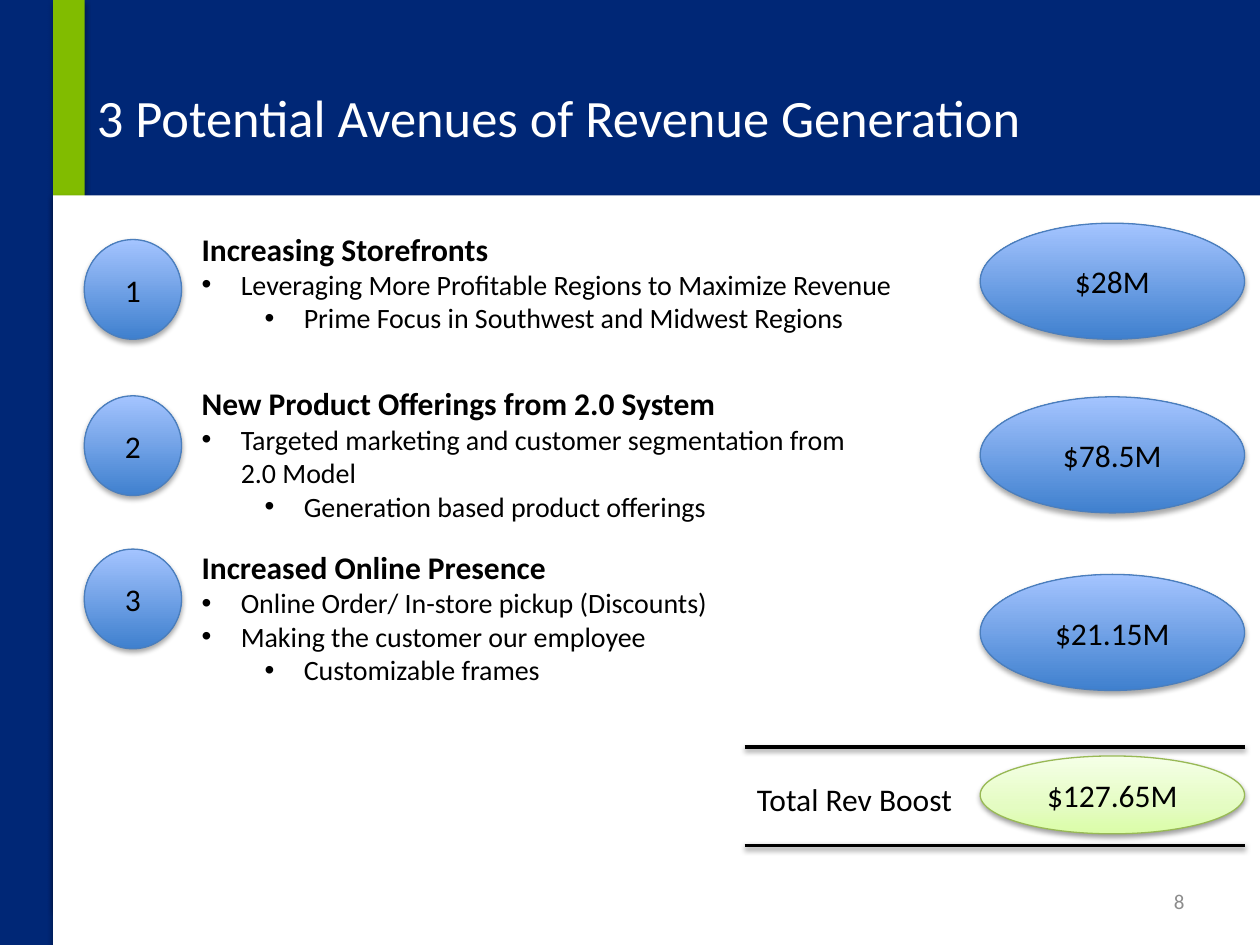
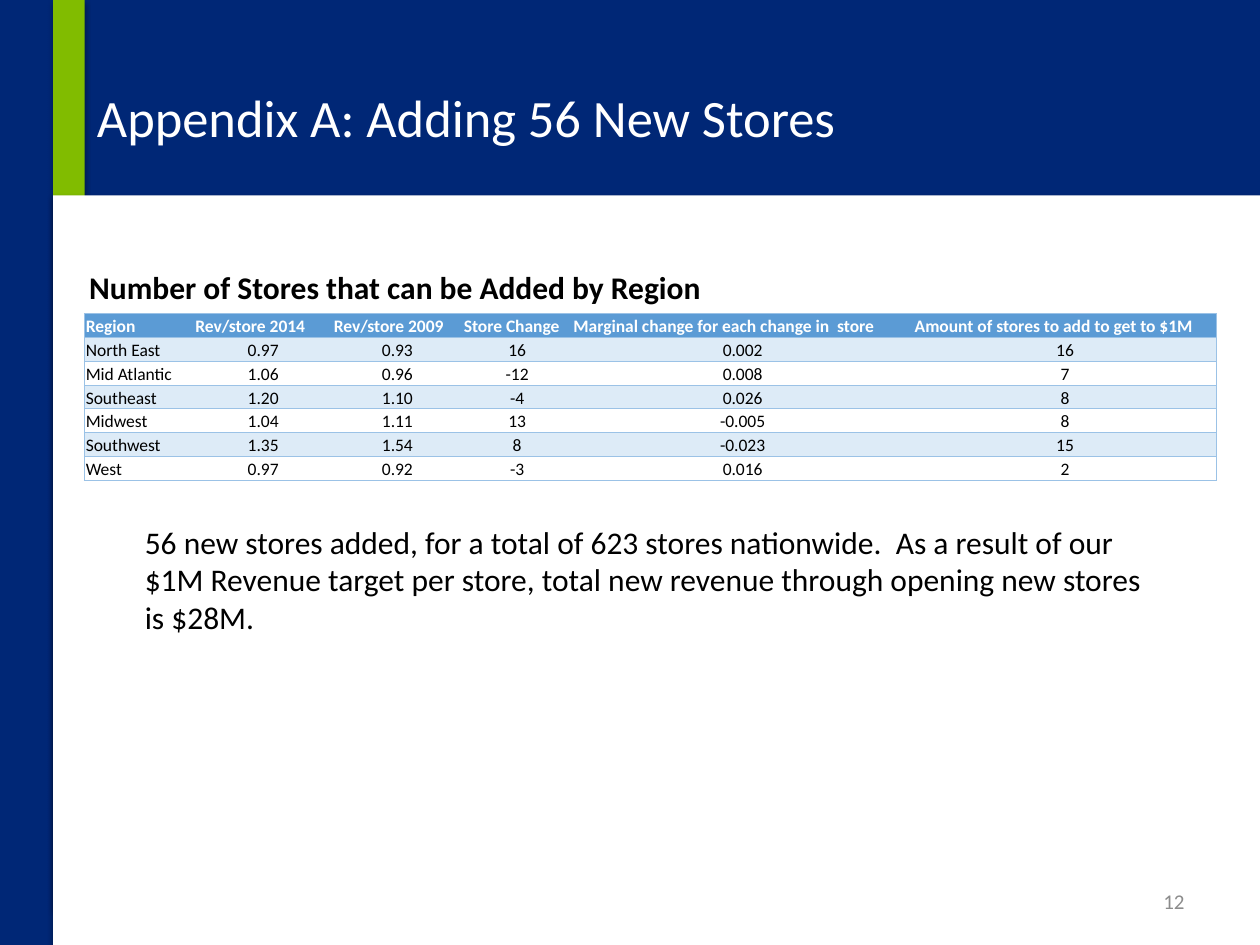
from lxml.etree import SubElement
from pptx import Presentation
from pptx.dml.color import RGBColor
from pptx.enum.shapes import MSO_CONNECTOR as Connector, MSO_SHAPE as Shape
from pptx.enum.text import MSO_ANCHOR as Anchor, MSO_AUTO_SIZE as AutoSize, PP_ALIGN as Align
from pptx.oxml.ns import qn
from pptx.util import Cm, Pt

NAVY, GREEN, WHITE, BLACK, GRAY = "002776", "81BC00", "FFFFFF", "000000", "8C8C8C"
HEADER_FILL, BAND_FILL, TABLE_LINE = "5B9BD5", "DDEBF7", "9BC2E6"
BLUE_STOPS = {0: "3F80CE", 100: "A4C4FF"}
LIME_STOPS = {0: "DAFDA7", 35: "E4FCC2", 100: "F5FFE7"}
BLUE_LINE, LIME_LINE = "4B7EBC", "98B955"
PLAIN_TABLE_STYLE = "{2D5ABB26-0587-4C30-8999-92F81FD0307C}"

TITLE_ONLY, COMPARISON = 5, 4

# Circle top, list top, list width, list height, amount top, amount, heading, bullets (level, text)
AVENUES = [
    (4.83, 4.5, 14.83, 3.94, 4.5, "$28M", "Increasing Storefronts", [
        (0, "Leveraging More Profitable Regions to Maximize Revenue"),
        (1, "Prime Focus in Southwest and Midwest Regions")]),
    (7.98, 7.62, 13.59, 3.07, 8.0, "$78.5M", "New Product Offerings from 2.0 System", [
        (0, "Targeted marketing and customer segmentation from 2.0 Model"),
        (1, "Generation based product offerings")]),
    (11.07, 10.92, 11.23, 3.07, 11.58, "$21.15M", "Increased Online Presence", [
        (0, "Online Order/ In-store pickup (Discounts)"),
        (0, "Making the customer our employee"),
        (1, "Customizable frames")]),
]

STORE_COLUMNS = [2.21, 2.79, 2.62, 2.21, 6.88, 6.12]
STORE_ROWS = [
    ["Region", "Rev/store 2014", "Rev/store 2009", "Store Change",
     "Marginal change for each change in  store", "Amount of stores to add to get to $1M"],
    ["North East", "0.97", "0.93", "16", "0.002", "16"],
    ["Mid Atlantic", "1.06", "0.96", "-12", "0.008", "7"],
    ["Southeast", "1.20", "1.10", "-4", "0.026", "8"],
    ["Midwest", "1.04", "1.11", "13", "-0.005", "8"],
    ["Southwest", "1.35", "1.54", "8", "-0.023", "15"],
    ["West", "0.97", "0.92", "-3", "0.016", "2"],
]


def rgb(color):
    return RGBColor.from_string(color)


def add_color(parent, color):
    return SubElement(parent, qn("a:srgbClr"), val=color)


def write(paragraph, text, size=18, color=BLACK, bold=False, align=Align.LEFT):
    paragraph.text = text
    paragraph.alignment = align
    font = paragraph.font
    font.name, font.size, font.bold = "Calibri", Pt(size), bold
    font.color.rgb = rgb(color)


def set_bullet(paragraph, level=None):
    """Give the paragraph a hanging bullet, or none when level is None."""
    properties = paragraph._p.get_or_add_pPr()
    indent = 0 if level is None else Cm(0.79)
    left = 0 if level is None else Cm(0.79 + 1.27 * level)
    properties.set("marL", str(left))
    properties.set("indent", str(-indent))
    paragraph.space_before = Pt(0)
    if level is None:
        SubElement(properties, qn("a:buNone"))
    else:
        paragraph.level = level
        SubElement(properties, qn("a:buFont"), typeface="Arial")
        SubElement(properties, qn("a:buChar"), char="•")


def add_shadow(shape, opacity=35, distance=1.8):
    """Cast a soft shadow downwards; call after the line is set."""
    effects = SubElement(shape.element.spPr, qn("a:effectLst"))
    shadow = SubElement(effects, qn("a:outerShdw"), blurRad=str(Pt(3.1)),
                        dist=str(Pt(distance)), dir="5400000", rotWithShape="0")
    SubElement(add_color(shadow, BLACK), qn("a:alpha"), val=str(opacity * 1000))


def fill_gradient(shape, stops):
    shape.fill.gradient()
    shape.fill.gradient_angle = 90
    stop_list = shape.element.spPr.find(".//" + qn("a:gsLst"))
    stop_list.clear()
    for position, color in stops.items():
        add_color(SubElement(stop_list, qn("a:gs"), pos=str(position * 1000)), color)


def place(shape, left, top, width, height):
    shape.left, shape.top, shape.width, shape.height = map(Cm, (left, top, width, height))


class Deck:
    def __init__(self):
        self.presentation = Presentation()
        self.presentation.slide_width = Cm(25.4)
        self.presentation.slide_height = Cm(19.05)
        self.slide = None
        self.bodies = []

    def start_slide(self, layout, title, number):
        self.slide = self.presentation.slides.add_slide(
            self.presentation.slide_layouts[layout])
        background = self.slide.background.fill
        background.solid()
        background.fore_color.rgb = rgb(NAVY)
        self.bodies = list(self.slide.placeholders)[1:]
        self.band(1.07, 3.94, 24.33, 15.11, WHITE)
        self.band(1.07, 0, 0.64, 18.29, GREEN)
        heading = self.slide.shapes.title
        place(heading, 1.7, 0.76, 22.43, 3.18)
        heading.text_frame.auto_size = AutoSize.NONE
        heading.text_frame.vertical_anchor = Anchor.MIDDLE
        write(heading.text_frame.paragraphs[0], title, size=30, color=WHITE)
        self.text(18.21, 17.65, 5.92, 1.02, number, anchor=Anchor.MIDDLE,
                  size=12, color=GRAY, align=Align.RIGHT)

    def band(self, left, top, width, height, color):
        """Add a plain rectangle behind everything on the slide."""
        shape = self.slide.shapes.add_shape(
            Shape.RECTANGLE, *map(Cm, (left, top, width, height)))
        shape.fill.solid()
        shape.fill.fore_color.rgb = rgb(color)
        shape.line.fill.background()
        add_shadow(shape)
        shape.element.getparent().insert(2, shape.element)

    def text(self, left, top, width, height, text, anchor=Anchor.TOP, **style):
        box = self.slide.shapes.add_textbox(*map(Cm, (left, top, width, height)))
        box.text_frame.word_wrap = True
        box.text_frame.vertical_anchor = anchor
        write(box.text_frame.paragraphs[0], text, **style)

    def ellipse(self, left, top, width, height, text,
                stops=BLUE_STOPS, line=BLUE_LINE, **shadow):
        shape = self.slide.shapes.add_shape(
            Shape.OVAL, *map(Cm, (left, top, width, height)))
        fill_gradient(shape, stops)
        shape.line.color.rgb = rgb(line)
        shape.line.width = Pt(0.75)
        add_shadow(shape, **shadow)
        shape.text_frame.vertical_anchor = Anchor.MIDDLE
        write(shape.text_frame.paragraphs[0], text, align=Align.CENTER)

    def rule(self, left, right, y):
        line = self.slide.shapes.add_connector(
            Connector.STRAIGHT, *map(Cm, (left, y, right, y)))
        line.line.color.rgb = rgb(BLACK)
        line.line.width = Pt(2)
        add_shadow(line, opacity=38, distance=1.6)

    def bullet_list(self, left, top, width, height, heading, bullets):
        body = self.bodies.pop(0)
        place(body, left, top, width, height)
        frame = body.text_frame
        frame.auto_size = AutoSize.NONE
        frame.vertical_anchor = Anchor.TOP
        set_bullet(frame.paragraphs[0])
        write(frame.paragraphs[0], heading, bold=True)
        for level, text in bullets:
            paragraph = frame.add_paragraph()
            set_bullet(paragraph, level)
            write(paragraph, text, size=16)

    def remove_unused_bodies(self):
        for body in self.bodies:
            body.element.getparent().remove(body.element)

    def table(self, left, top, columns, row_height, rows):
        frame = self.slide.shapes.add_table(
            len(rows), len(columns), Cm(left), Cm(top),
            Cm(sum(columns)), Cm(row_height * len(rows)))
        frame.element.find(".//" + qn("a:tableStyleId")).text = PLAIN_TABLE_STYLE
        table = frame.table
        table.horz_banding = False
        for column, width in zip(table.columns, columns):
            column.width = Cm(width)
        for row_index, values in enumerate(rows):
            table.rows[row_index].height = Cm(row_height)
            for column_index, value in enumerate(values):
                self.table_cell(table.cell(row_index, column_index), value,
                                row_index, column_index, len(columns) - 1)

    def table_cell(self, cell, value, row, column, last_column):
        is_header = row == 0
        cell.margin_left = cell.margin_right = cell.margin_top = Cm(0.03)
        cell.margin_bottom = 0
        cell.vertical_anchor = Anchor.BOTTOM
        sides = {"L": column == 0, "R": column == last_column, "T": True, "B": True}
        for side, is_drawn in sides.items():
            if is_drawn:
                line = SubElement(cell._tc.get_or_add_tcPr(), qn("a:ln" + side),
                                  w=str(Pt(0.5)))
                add_color(SubElement(line, qn("a:solidFill")), TABLE_LINE)
        if row % 2 or is_header:
            cell.fill.solid()
            cell.fill.fore_color.rgb = rgb(HEADER_FILL if is_header else BAND_FILL)
        else:
            cell.fill.background()
        write(cell.text_frame.paragraphs[0], value, size=10, bold=is_header,
              color=WHITE if is_header else BLACK,
              align=Align.LEFT if is_header or column == 0 else Align.CENTER)


def add_avenues_slide(deck):
    deck.start_slide(COMPARISON, "3 Potential Avenues of Revenue Generation", "8")
    for number, avenue in enumerate(AVENUES, start=1):
        circle_top, list_top, width, height, amount_top, amount, heading, bullets = avenue
        deck.ellipse(1.7, circle_top, 1.96, 2.01, str(number))
        deck.bullet_list(3.81, list_top, width, height, heading, bullets)
        deck.ellipse(19.76, amount_top, 5.33, 2.34, amount)
    deck.remove_unused_bodies()
    for y in (15.06, 17.04):
        deck.rule(15.01, 25.1, y)
    deck.text(15.01, 15.6, 4.75, 1.02, "Total Rev Boost")
    deck.ellipse(19.76, 15.24, 5.33, 1.57, "$127.65M", LIME_STOPS, LIME_LINE,
                 opacity=38, distance=1.6)


def add_stores_slide(deck):
    deck.start_slide(TITLE_ONLY, "Appendix A: Adding 56 New Stores", "12")
    deck.text(1.55, 5.28, 13.94, 1.02, "Number of Stores that can be Added by Region",
              bold=True)
    deck.table(1.7, 6.32, STORE_COLUMNS, 0.48, STORE_ROWS)
    deck.text(2.67, 10.41, 21.08, 2.57,
              "56 new stores added, for a total of 623 stores nationwide.  As a result of "
              "our $1M Revenue target per store, total new revenue through opening new "
              "stores is $28M.")


def main():
    deck = Deck()
    add_avenues_slide(deck)
    add_stores_slide(deck)
    deck.presentation.save("out.pptx")


if __name__ == "__main__":
    main()
